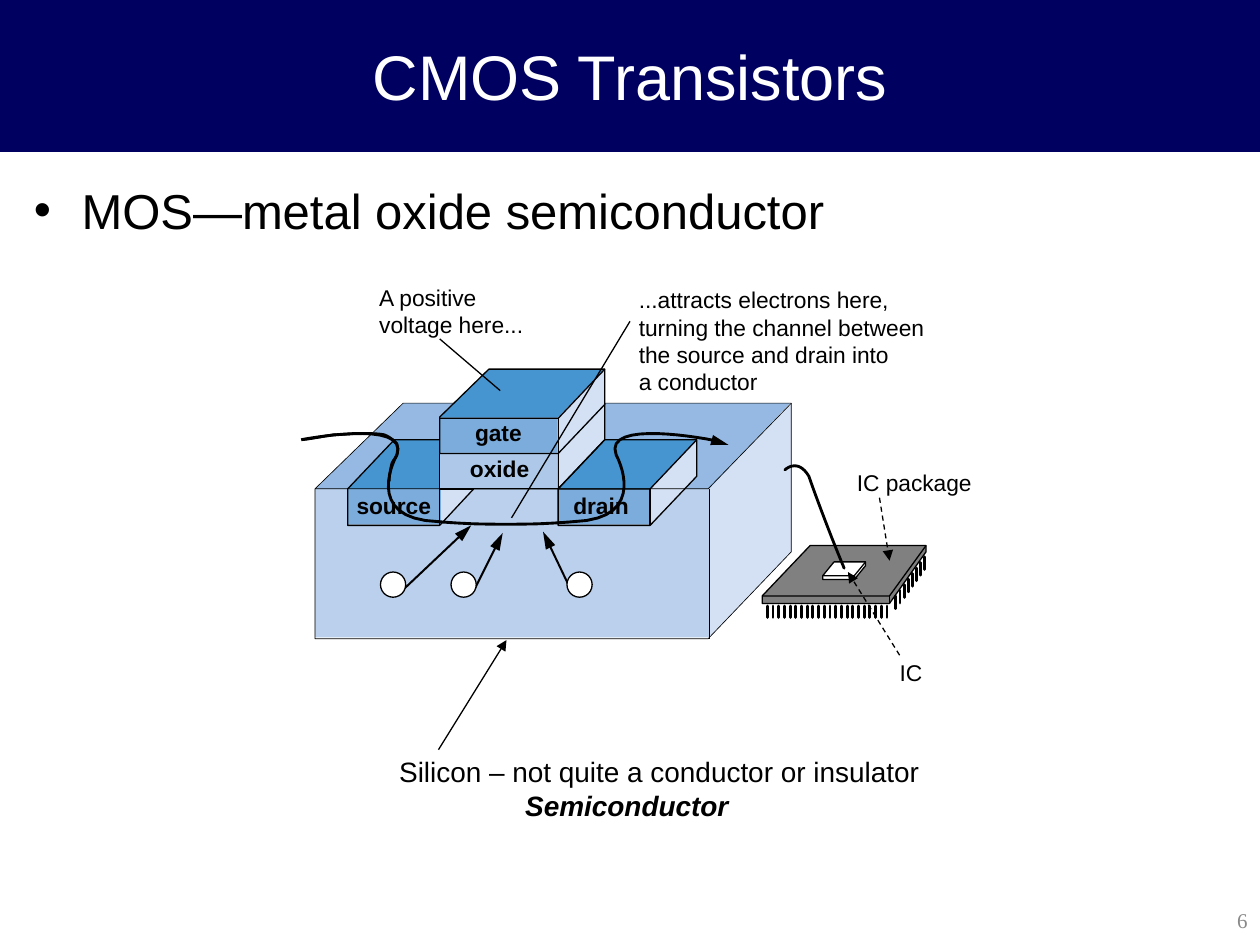
from lxml.etree import SubElement
from pptx import Presentation
from pptx.dml.color import RGBColor as RGB
from pptx.enum.dml import MSO_LINE_DASH_STYLE as Dash
from pptx.enum.shapes import MSO_CONNECTOR as Link, MSO_SHAPE as Kind
from pptx.enum.text import MSO_ANCHOR as Anchor, MSO_AUTO_SIZE as Auto, PP_ALIGN as Align
from pptx.oxml.ns import qn
from pptx.util import Inches, Pt

NAVY = RGB(0x00, 0x00, 0x60)
BLACK = RGB(0x00, 0x00, 0x00)
WHITE = RGB(0xFF, 0xFF, 0xFF)
GRAY = RGB(0x80, 0x80, 0x80)
PALE_GRAY = RGB(0x89, 0x89, 0x89)
SIDE = RGB(0xD4, 0xE0, 0xF3)
BASE = RGB(0xBA, 0xD0, 0xEC)
BASE_TOP = RGB(0x95, 0xB9, 0xE2)
FRONT = RGB(0x7B, 0xAC, 0xDC)
OXIDE = RGB(0xAD, 0xC8, 0xE8)
TOP = RGB(0x46, 0x95, 0xD1)
THIN, NORMAL, BOLD = 0.37, 0.75, 1.62


def stroke(shape, width, arrow=False, color=BLACK):
    if not width:
        shape.line.fill.background()
        return
    shape.line.color.rgb = color
    shape.line.width = Pt(width)
    edge = shape.line._get_or_add_ln()
    if width == BOLD:
        edge.set("cap", "rnd")
    if arrow:
        size = "lg" if width > 1 else "med"
        SubElement(edge, qn("a:tailEnd"), type="triangle", w="med", len=size)


def paint(shape, fill, width, arrow=False, color=BLACK):
    shape.shadow.inherit = False
    if fill is None:
        shape.fill.background()
    else:
        shape.fill.solid()
        shape.fill.fore_color.rgb = fill
    stroke(shape, width, arrow, color)


def block(slide, x, y, w, h, fill, width=0, kind=Kind.RECTANGLE, color=BLACK):
    shape = slide.shapes.add_shape(kind, Inches(x), Inches(y), Inches(w), Inches(h))
    paint(shape, fill, width, color=color)


def path(slide, dots, fill=None, width=0, close=False, arrow=False):
    spots = [(Inches(x), Inches(y)) for x, y in dots]
    pen = slide.shapes.build_freeform(*spots[0])
    pen.add_line_segments(spots[1:], close=close)
    paint(pen.convert_to_shape(), fill, width, arrow)


def curve(dots, steps=16):
    out = [dots[0]]
    for i in range(0, len(dots) - 1, 3):
        quad = dots[i:i + 4]
        for k in range(1, steps + 1):
            t = k / steps
            u = 1 - t
            part = (u ** 3, 3 * u * u * t, 3 * u * t * t, t ** 3)
            out.append(tuple(sum(p * d[a] for p, d in zip(part, quad)) for a in (0, 1)))
    return out


def line(slide, x1, y1, x2, y2, width=NORMAL, arrow=False, dash=False):
    link = slide.shapes.add_connector(
        Link.STRAIGHT, Inches(x1), Inches(y1), Inches(x2), Inches(y2))
    link.line.color.rgb = BLACK
    if dash:
        link.line.dash_style = Dash.DASH
    stroke(link, width, arrow)
    SubElement(link._element.spPr, qn("a:effectLst"))


def text(slide, words, x, y, w, h, size=13, color=BLACK, font="Arial", bold=False,
         last=False, align=Align.LEFT, anchor=Anchor.TOP, inset=False, bullet=False):
    box = slide.shapes.add_textbox(Inches(x), Inches(y), Inches(w), Inches(h))
    frame = box.text_frame
    frame.word_wrap = True
    frame.auto_size = Auto.NONE
    frame.vertical_anchor = anchor
    across, down = (0.1, 0.05) if inset else (0, 0)
    frame.margin_left = frame.margin_right = Inches(across)
    frame.margin_top = frame.margin_bottom = Inches(down)
    rows = words.split("\n")
    for i, row in enumerate(rows):
        para = frame.add_paragraph() if i else frame.paragraphs[0]
        para.alignment = align
        props = para._p.get_or_add_pPr()
        if bullet:
            props.set("marL", str(Inches(0.38)))
            props.set("indent", str(-Inches(0.38)))
            SubElement(props, qn("a:buFont"), typeface="Arial")
            SubElement(props, qn("a:buChar"), char="•")
        if row.startswith("\t"):
            tabs = SubElement(props, qn("a:tabLst"))
            SubElement(tabs, qn("a:tab"), pos=str(Inches(1)), algn="l")
        run = para.add_run()
        run.text = row
        face = run.font
        face.name, face.size, face.color.rgb = font, Pt(size), color
        stress = last and i == len(rows) - 1
        face.bold, face.italic = bold or stress, stress


def fills(slide):
    path(slide, [(5.63, 5.06), (5.63, 3.88), (6.28, 3.2), (6.28, 4.38)], SIDE, close=True)
    block(slide, 2.5, 3.88, 3.13, 1.18, BASE)
    path(slide, [(3.2, 3.2), (6.27, 3.2), (5.63, 3.88), (2.5, 3.88)], BASE_TOP, close=True)
    for x, y in ((4.43, 3.31), (5.16, 3.88), (4.43, 3.6)):
        path(slide, [(x, y), (x + 0.37, y - 0.38), (x + 0.37, y - 0.1), (x, y + 0.28)],
             SIDE, close=True)
    path(slide, [(3.49, 3.88), (3.76, 3.88), (3.49, 4.17)], SIDE, close=True)
    for x, y, w, fill in ((2.76, 3.88, 0.74, FRONT), (4.43, 3.88, 0.73, FRONT),
                          (3.49, 3.31, 0.93, FRONT), (3.49, 3.6, 0.93, OXIDE)):
        block(slide, x, y, w, 0.28, fill)
    for dots in ([(2.76, 3.88), (3.13, 3.49), (3.49, 3.49), (3.49, 3.88)],
                 [(4.43, 3.88), (4.8, 3.49), (5.53, 3.49), (5.16, 3.88)],
                 [(3.49, 3.31), (3.88, 2.93), (4.8, 2.93), (4.43, 3.31)]):
        path(slide, dots, TOP, close=True)


def edges(slide):
    path(slide, [(4.8, 3.2), (6.28, 3.2), (6.28, 4.38), (5.62, 5.07), (2.5, 5.07),
                 (2.5, 3.88), (3.2, 3.2), (3.6, 3.2)], width=THIN)
    path(slide, [(2.5, 3.88), (5.62, 3.88), (6.28, 3.2)], width=THIN)
    line(slide, 5.63, 3.88, 5.63, 5.07, THIN)
    for dots in ([(3.88, 2.93), (4.8, 2.93), (4.8, 3.21), (4.43, 3.6), (3.49, 3.6), (3.49, 3.31)],
                 [(4.8, 3.49), (5.53, 3.49), (5.53, 3.78), (5.16, 4.17), (4.43, 4.17),
                  (4.43, 3.88)]):
        path(slide, dots, width=NORMAL, close=True)
    for dots in ([(4.8, 2.93), (4.43, 3.32), (3.49, 3.32)],
                 [(3.76, 3.88), (3.49, 4.17), (2.76, 4.17), (2.76, 3.88), (3.13, 3.49),
                  (3.49, 3.49)],
                 [(5.53, 3.49), (5.16, 3.88), (4.43, 3.88)],
                 [(3.76, 3.88), (3.49, 3.88), (3.49, 3.6)],
                 [(4.8, 3.2), (4.8, 3.49), (4.43, 3.88), (3.76, 3.88)]):
        path(slide, dots, width=NORMAL)
    for x, y1, y2 in ((4.43, 3.32, 3.6), (3.49, 3.88, 4.17), (5.16, 3.88, 4.17),
                      (4.43, 3.6, 3.88)):
        line(slide, x, y1, x, y2)


def flow(slide):
    for ends in ((3.77, 4.67, 3.99, 4.23), (3.19, 4.69, 3.74, 4.17), (4.53, 4.68, 4.31, 4.22)):
        line(slide, *ends, width=1.13, arrow=True)
    path(slide, curve([
        (2.39, 3.49), (2.39, 3.49), (3.25, 3.32), (3.15, 3.61), (3.15, 3.61), (2.86, 4.12),
        (3.48, 4.14), (3.48, 4.14), (3.69, 4.16), (3.93, 4.16), (4.1, 4.16), (4.1, 4.16),
        (4.1, 4.16), (4.34, 4.16), (4.55, 4.14), (4.55, 4.14), (5.17, 4.12), (4.89, 3.61),
        (4.89, 3.61), (4.78, 3.32), (5.64, 3.49), (5.64, 3.49)]) + [(5.78, 3.53)],
        width=1.64, arrow=True)
    path(slide, curve([
        (2.4, 3.49), (2.49, 3.48), (2.58, 3.46), (2.65, 3.45), (2.73, 3.45), (2.8, 3.44),
        (2.86, 3.44), (2.93, 3.44), (3, 3.44), (3.05, 3.45), (3.1, 3.47), (3.13, 3.5),
        (3.15, 3.52), (3.16, 3.55), (3.16, 3.59), (3.15, 3.61), (3.14, 3.64), (3.12, 3.65),
        (3.11, 3.68), (3.1, 3.72), (3.09, 3.77), (3.09, 3.82)]), width=1.5)
    for x in (3.02, 3.58, 4.5):
        block(slide, x, 4.54, 0.2, 0.2, WHITE, NORMAL, Kind.OVAL)


def chip(slide):
    path(slide, [(7.35, 4.33), (7.35, 4.38), (7.06, 4.79), (6.05, 4.79), (6.05, 4.73),
                 (6.43, 4.33)], GRAY, NORMAL, close=True)
    path(slide, [(7.35, 4.33), (7.06, 4.73), (6.05, 4.73)], width=NORMAL)
    for i in range(22):
        x = 6.09 + i * 0.95 / 21
        line(slide, x, 4.81, x, 4.9, BOLD)
    for i in range(8):
        x, y = 7.11 + i * 0.23 / 7, 4.73 - i * 0.31 / 7
        line(slide, x, y, x, y + 0.1, BOLD)
    line(slide, 7.06, 4.73, 7.06, 4.79)
    path(slide, [(6.53, 4.57), (6.62, 4.46), (6.87, 4.46), (6.87, 4.49), (6.78, 4.6),
                 (6.53, 4.6)], WHITE, NORMAL, close=True)
    path(slide, [(6.87, 4.46), (6.78, 4.57), (6.53, 4.57)], width=NORMAL)
    line(slide, 6.78, 4.57, 6.78, 4.6)
    path(slide, curve([(6.23, 3.73), (6.23, 3.73), (6.33, 3.63), (6.42, 3.78), (6.42, 3.78),
                       (6.53, 4.1), (6.7, 4.51)]), width=BOLD)


def notes(slide):
    for word, x, y, w in (("gate", 3.77, 3.32, 0.45), ("source", 2.83, 3.9, 0.66),
                          ("drain", 4.55, 3.9, 0.52), ("oxide", 3.73, 3.61, 0.55)):
        text(slide, word, x, y, w, 0.22, bold=True)
    text(slide, "A positive\nvoltage here...", 3.01, 2.25, 1.25, 0.43)
    text(slide, "...attracts electrons here,\nturning the channel between\n"
         "the source and drain into\na conductor", 5.07, 2.27, 2.4, 0.87)
    text(slide, "IC package", 6.8, 3.72, 1.02, 0.22)
    text(slide, "IC", 7.14, 5.23, 0.25, 0.22)
    text(slide, "Silicon – not quite a conductor or insulator\n\tSemiconductor",
         3.07, 5.94, 4.45, 0.64, size=16, inset=True, last=True)
    line(slide, 3.49, 2.69, 3.97, 3.1)
    line(slide, 4.06, 4.11, 5, 2.55)
    line(slide, 3.48, 5.95, 4.02, 5.08, arrow=True)
    line(slide, 6.98, 3.95, 7.06, 4.45, arrow=True, dash=True)
    line(slide, 7.14, 5.2, 6.73, 4.54, arrow=True, dash=True)


def main():
    deck = Presentation()
    deck.slide_width, deck.slide_height = Inches(10), Inches(7.5)
    slide = deck.slides.add_slide(deck.slide_layouts[6])
    block(slide, 0, 0, 10, 1.2, NAVY, NORMAL, color=NAVY)
    text(slide, "CMOS Transistors", 0, 0, 10, 1.2, size=36, color=WHITE,
         align=Align.CENTER, anchor=Anchor.MIDDLE, inset=True)
    text(slide, "MOS—metal oxide semiconductor", 0.17, 1.38, 9.66, 5.72, size=28,
         inset=True, bullet=True)
    text(slide, "6", 7.88, 7.1, 2.12, 0.4, size=12, color=PALE_GRAY, font="Times New Roman",
         align=Align.RIGHT, anchor=Anchor.MIDDLE, inset=True)
    for draw in (fills, edges, flow, chip, notes):
        draw(slide)
    deck.save("out.pptx")


if __name__ == "__main__":
    main()
